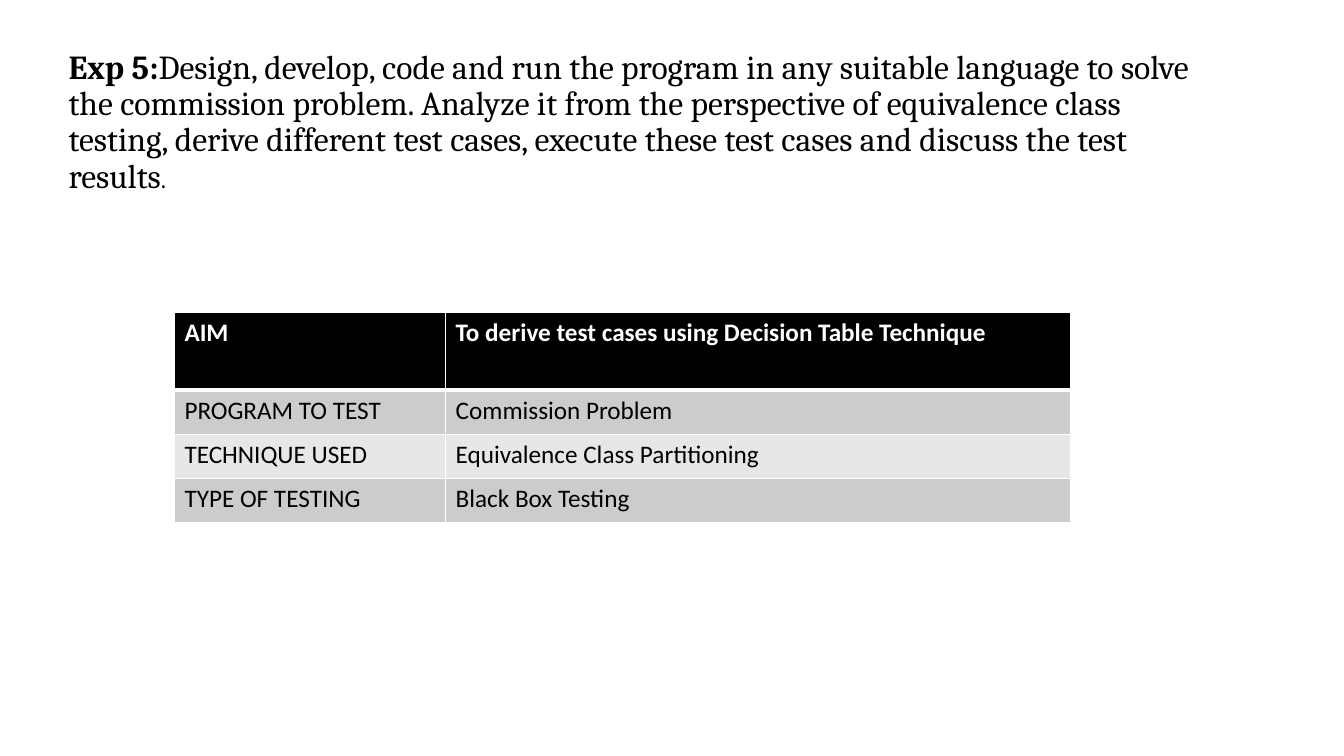
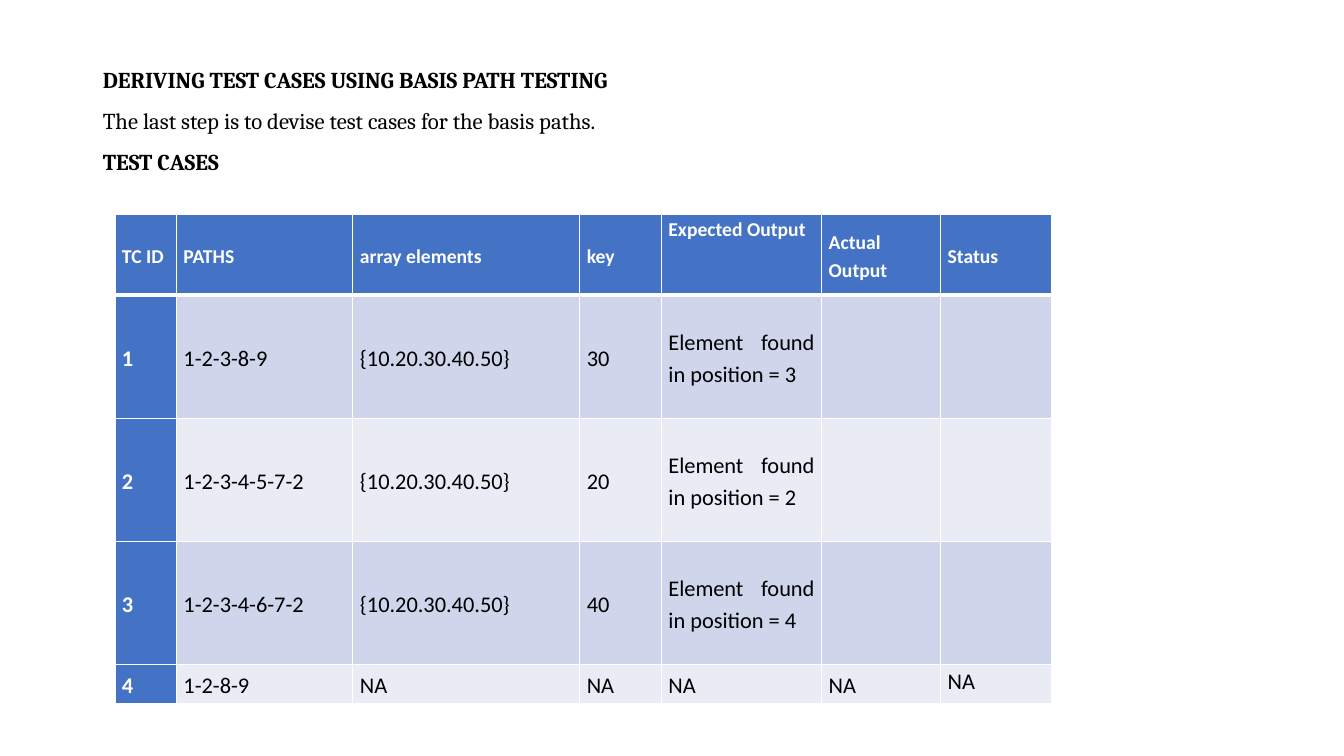
from dataclasses import dataclass

from lxml.etree import SubElement
from pptx import Presentation
from pptx.dml.color import RGBColor
from pptx.enum.text import MSO_ANCHOR, MSO_AUTO_SIZE, PP_ALIGN
from pptx.oxml import parse_xml
from pptx.oxml.ns import nsdecls, qn
from pptx.util import Inches, Pt


@dataclass(frozen=True)
class Theme:
    heading_font: str = "Cambria"
    table_font: str = "Calibri"
    ink: str = "000000"
    paper: str = "FFFFFF"
    blue: str = "4472C4"
    blue_bands: tuple = ("CFD5EA", "E9EBF5")
    grey_bands: tuple = ("CCCCCC", "E7E7E7")
    task_size: float = 24
    stop_size: float = 18
    title_size: float = 16.2
    summary_size: float = 18
    case_header_size: float = 14
    case_size: float = 16
    thin_rule: float = 1
    thick_rule: float = 3


THEME = Theme()

# Content
SUMMARY = [
    ("AIM", "To derive test cases using Decision Table Technique"),
    ("PROGRAM TO TEST", "Commission Problem"),
    ("TECHNIQUE USED", "Equivalence Class Partitioning"),
    ("TYPE OF TESTING", "Black Box Testing"),
]
ARRAY = "{10.20.30.40.50}"
FOUND = "Element found in position = "
TEST_CASES = [
    ("TC ID", "PATHS", "array elements", "key", "Expected Output", "Actual Output", "Status"),
    ("1", "1-2-3-8-9", ARRAY, "30", FOUND + "3", "", ""),
    ("2", "1-2-3-4-5-7-2", ARRAY, "20", FOUND + "2", "", ""),
    ("3", "1-2-3-4-6-7-2", ARRAY, "40", FOUND + "4", "", ""),
    ("4", "1-2-8-9", "NA", "NA", "NA", "NA", "NA"),
]


# Text
def add_span(para, text, *, font, size, color=THEME.ink, bold=False):
    span = para.add_run()
    span.text = text
    span.font.name = font
    span.font.size = Pt(size)
    span.font.bold = bold
    span.font.color.rgb = RGBColor.from_string(color)


def place_frame(box, left, top, width, height, anchor):
    box.left, box.top = Inches(left), Inches(top)
    box.width, box.height = Inches(width), Inches(height)
    frame = box.text_frame
    frame.word_wrap = True
    frame.auto_size = MSO_AUTO_SIZE.NONE
    frame.vertical_anchor = anchor
    return frame


def format_para(para, spacing, align=PP_ALIGN.LEFT):
    para.alignment = align
    para.line_spacing = spacing
    para.space_before = Pt(0)


def remove_bullet(para):
    properties = para._p.get_or_add_pPr()
    properties.set("marL", "0")
    properties.set("indent", "0")
    SubElement(properties, qn("a:buNone"))


# Tables
def set_borders(cell, row):
    widths = {
        "lnL": THEME.thin_rule,
        "lnR": THEME.thin_rule,
        "lnT": THEME.thick_rule if row == 1 else THEME.thin_rule,
        "lnB": THEME.thick_rule if row == 0 else THEME.thin_rule,
    }
    properties = cell._tc.get_or_add_tcPr()
    for index, (edge, width) in enumerate(widths.items()):
        properties.insert(index, parse_xml(
            f'<a:{edge} {nsdecls("a")} w="{Pt(width)}"><a:solidFill>'
            f'<a:srgbClr val="{THEME.paper}"/></a:solidFill></a:{edge}>'))


def add_grid(slide, rows, left, top, widths, heights, *, head_fill, bands,
             head_size, size, head_column=False):
    table = slide.shapes.add_table(
        len(rows), len(widths), Inches(left), Inches(top),
        Inches(sum(widths)), Inches(sum(heights))).table
    table.first_col = head_column
    for column, width in zip(table.columns, widths):
        column.width = Inches(width)
    for row, (values, height) in enumerate(zip(rows, heights)):
        table.rows[row].height = Inches(height)
        for column, text in enumerate(values):
            cell = table.cell(row, column)
            is_head = row == 0 or (head_column and column == 0)
            fill = head_fill if is_head else bands[(row - 1) % 2]
            cell.fill.solid()
            cell.fill.fore_color.rgb = RGBColor.from_string(fill)
            set_borders(cell, row)
            if text:
                add_span(cell.text_frame.paragraphs[0], text, font=THEME.table_font,
                         size=head_size if row == 0 else size, bold=is_head,
                         color=THEME.paper if is_head else THEME.ink)
    return table


def justify_cells(table, top_cells):
    for row in range(len(table.rows)):
        for column in range(len(table.columns)):
            cell = table.cell(row, column)
            cell.margin_left = cell.margin_right = Inches(0.07)
            cell.margin_top = cell.margin_bottom = 0
            at_top = (row, column) in top_cells
            cell.vertical_anchor = MSO_ANCHOR.TOP if at_top else MSO_ANCHOR.MIDDLE
            format_para(cell.text_frame.paragraphs[0], 1.15, PP_ALIGN.JUSTIFY)


# Slides
def add_task_slide(deck):
    slide = deck.slides.add_slide(deck.slide_layouts[1])
    title = slide.shapes.title
    title.element.getparent().remove(title.element)

    frame = place_frame(slide.placeholders[1], 0.58, 0.45, 11.5, 4.76, MSO_ANCHOR.TOP)
    para = frame.paragraphs[0]
    format_para(para, 0.9)
    remove_bullet(para)
    add_span(para, "Exp 5:", font=THEME.heading_font, size=THEME.task_size, bold=True)
    add_span(para, "Design, develop, code and run the program in any suitable language "
             "to solve the commission problem. Analyze it from the perspective of "
             "equivalence class testing, derive different test cases, execute these "
             "test cases and discuss the test results",
             font=THEME.heading_font, size=THEME.task_size)
    add_span(para, ".", font=THEME.heading_font, size=THEME.stop_size)

    add_grid(slide, SUMMARY, 1.73, 3.1, [2.69, 6.2], [0.77] + [0.44] * 3,
             head_fill=THEME.ink, bands=THEME.grey_bands,
             head_size=THEME.summary_size, size=THEME.summary_size)


def add_cases_slide(deck):
    slide = deck.slides.add_slide(deck.slide_layouts[5])
    frame = place_frame(slide.shapes.title, 0.92, 0.4, 11.5, 1.45, MSO_ANCHOR.MIDDLE)
    lines = [
        ("DERIVING TEST CASES USING BASIS PATH TESTING", True),
        ("The last step is to devise test cases for the basis paths.", False),
        ("TEST CASES", True),
    ]
    for index, (text, bold) in enumerate(lines):
        para = frame.add_paragraph() if index else frame.paragraphs[0]
        format_para(para, 1.5)
        add_span(para, text, font=THEME.heading_font, size=THEME.title_size, bold=bold)

    table = add_grid(slide, TEST_CASES, 1.14, 2.13,
                     [0.61, 1.75, 2.25, 0.81, 1.59, 1.18, 1.1],
                     [0.8] + [1.22] * 3 + [0.39],
                     head_fill=THEME.blue, bands=THEME.blue_bands,
                     head_size=THEME.case_header_size, size=THEME.case_size,
                     head_column=True)
    justify_cells(table, top_cells={(0, 4), (4, 6)})


def main():
    deck = Presentation()
    deck.slide_width, deck.slide_height = Inches(13.33), Inches(7.5)
    add_task_slide(deck)
    add_cases_slide(deck)
    deck.save("out.pptx")


if __name__ == "__main__":
    main()
